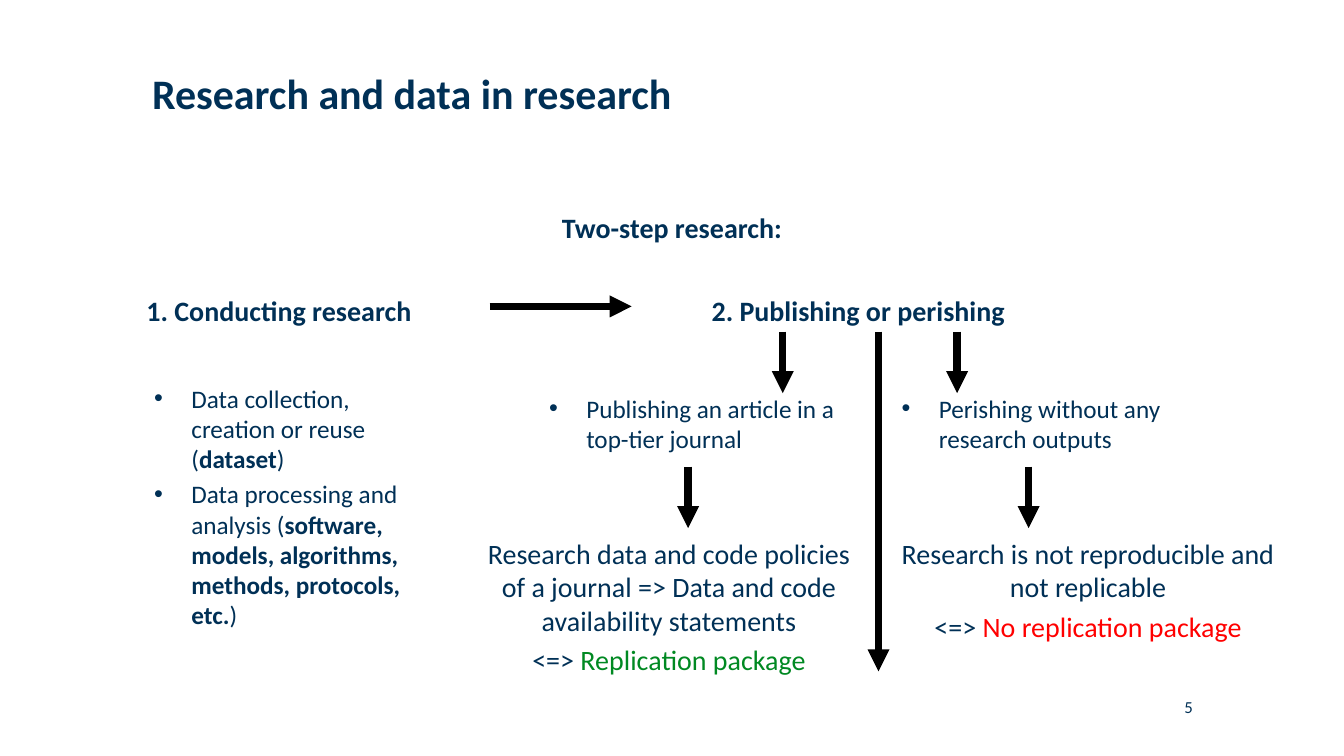
"""Build the slide on research steps and data in research."""
from dataclasses import dataclass

from lxml import etree
from pptx import Presentation
from pptx.dml.color import RGBColor
from pptx.enum.shapes import MSO_CONNECTOR
from pptx.enum.text import PP_ALIGN
from pptx.oxml.ns import qn
from pptx.slide import Slide
from pptx.util import Inches, Pt

NAVY = RGBColor(0x00, 0x30, 0x56)
GREEN = RGBColor(0x00, 0x89, 0x22)
RED = RGBColor(0xFF, 0x00, 0x00)
BLACK = RGBColor(0x00, 0x00, 0x00)
LEFT, CENTER, RIGHT = PP_ALIGN.LEFT, PP_ALIGN.CENTER, PP_ALIGN.RIGHT
STRAIGHT = MSO_CONNECTOR.STRAIGHT
FONT = "Calibri"
BULLET_INDENT = 0.37
SPACING_RATIO = 0.2
STEP_TOP, STEP_WIDTH, STEP_HEIGHT = 2.91, 3.7, 0.47
FORK_TOP, BRANCH_TOP, OUTCOME_ARROW_TOP, OUTCOME_TOP = 3.29, 3.9, 4.63, 5.32
SHORT_ARROW = 0.61


@dataclass(frozen=True)
class Run:
    """A stretch of text in one format."""
    text: str
    bold: bool = False
    color: RGBColor = NAVY


@dataclass(frozen=True)
class TextBlock:
    """A text box with its paragraphs and their shared format."""
    left: float
    top: float
    width: float
    height: float
    paragraphs: list[list[Run]]
    size: int = 20
    alignment: PP_ALIGN = CENTER
    bulleted: bool = False


@dataclass(frozen=True)
class Arrow:
    """A straight arrow between two points."""
    start_x: float
    start_y: float
    end_x: float
    end_y: float


def heading(text: str) -> list[list[Run]]:
    """Return one bold paragraph."""
    return [[Run(text, bold=True)]]


def outcome(text: str, package: str, color: RGBColor) -> list[list[Run]]:
    """Return an outcome and the coloured package status it amounts to."""
    return [[Run(text)], [Run("<=> "), Run(package, color=color)]]


def down_arrow(x: float, top: float, length: float = SHORT_ARROW) -> Arrow:
    """Return a vertical arrow pointing down."""
    return Arrow(x, top, x, top + length)


TEXT_BLOCKS = [
    TextBlock(1.51, 0.67, 8, 0.64, heading("Research and data in research"), size=30, alignment=LEFT),
    TextBlock(0, 2.09, 13.34, 0.5, heading("Two-step research:")),
    TextBlock(0.92, STEP_TOP, STEP_WIDTH, STEP_HEIGHT, heading("1. Conducting research")),
    TextBlock(6.67, STEP_TOP, STEP_WIDTH, STEP_HEIGHT, heading("2. Publishing or perishing")),
    TextBlock(1.53, 3.8, 2.76, 2.63, [
        [Run("Data collection, creation or reuse ("), Run("dataset", bold=True), Run(")")],
        [Run("Data processing and analysis ("),
         Run("software, models, algorithms, methods, protocols, etc.", bold=True), Run(")")],
    ], size=18, alignment=LEFT, bulleted=True),
    TextBlock(5.45, BRANCH_TOP, 2.86, 1.11, [[Run("Publishing an article in a top-tier journal")]],
              size=18, alignment=LEFT, bulleted=True),
    TextBlock(8.95, BRANCH_TOP, 3.13, 0.68, [[Run("Perishing without any research outputs")]],
              size=18, alignment=LEFT, bulleted=True),
    TextBlock(4.7, OUTCOME_TOP, 3.88, 1.44, outcome(
        "Research data and code policies of a journal => Data and code availability statements",
        "Replication package", GREEN)),
    TextBlock(8.95, OUTCOME_TOP, 3.7, 1.5, outcome(
        "Research is not reproducible and not replicable", "No replication package", RED)),
    TextBlock(10.3, 6.91, 1.54, 0.2, [[Run("5")]], size=12, alignment=RIGHT),
]

ARROWS = [
    Arrow(4.86, 3.04, 6.27, 3.04),
    down_arrow(7.77, FORK_TOP),
    down_arrow(9.5, FORK_TOP),
    down_arrow(8.72, FORK_TOP, length=3.37),
    down_arrow(6.83, OUTCOME_ARROW_TOP),
    down_arrow(10.21, OUTCOME_ARROW_TOP),
]


def add_run(paragraph, text: str, *, size: int, bold: bool, color: RGBColor) -> None:
    """Append formatted text to a paragraph."""
    run = paragraph.add_run()
    run.text = text
    run.font.name = FONT
    run.font.size = Pt(size)
    run.font.bold = bold
    run.font.color.rgb = color


def add_bullet(paragraph) -> None:
    """Give a paragraph a round bullet with a hanging indent."""
    properties = paragraph._p.get_or_add_pPr()
    properties.set("marL", str(Inches(BULLET_INDENT)))
    properties.set("indent", str(-Inches(BULLET_INDENT)))
    etree.SubElement(properties, qn("a:buFont"), typeface="Arial")
    etree.SubElement(properties, qn("a:buChar"), char="•")


def draw_text(slide: Slide, block: TextBlock) -> None:
    """Draw a text block without inner margins."""
    shape = slide.shapes.add_textbox(
        Inches(block.left), Inches(block.top), Inches(block.width), Inches(block.height))
    frame = shape.text_frame
    frame.word_wrap = True
    frame.margin_left = frame.margin_top = frame.margin_right = frame.margin_bottom = 0
    for index, runs in enumerate(block.paragraphs):
        paragraph = frame.add_paragraph() if index else frame.paragraphs[0]
        paragraph.alignment = block.alignment
        if index:
            paragraph.space_before = Pt(block.size * SPACING_RATIO)
        if block.bulleted:
            add_bullet(paragraph)
        for run in runs:
            add_run(paragraph, run.text, size=block.size, bold=run.bold, color=run.color)


def draw_arrow(slide: Slide, arrow: Arrow) -> None:
    """Draw a thick black arrow without a shadow."""
    connector = slide.shapes.add_connector(
        STRAIGHT, Inches(arrow.start_x), Inches(arrow.start_y),
        Inches(arrow.end_x), Inches(arrow.end_y))
    connector.line.color.rgb = BLACK
    connector.line.width = Pt(5.25)
    etree.SubElement(connector.line._get_or_add_ln(), qn("a:tailEnd"), type="triangle")
    etree.SubElement(connector._element.spPr, qn("a:effectLst"))


def main() -> None:
    """Create and save the presentation."""
    presentation = Presentation()
    presentation.slide_width = Inches(13.34)
    presentation.slide_height = Inches(7.5)
    slide = presentation.slides.add_slide(presentation.slide_layouts[6])
    for block in TEXT_BLOCKS:
        draw_text(slide, block)
    for arrow in ARROWS:
        draw_arrow(slide, arrow)
    presentation.save("out.pptx")


if __name__ == "__main__":
    main()
